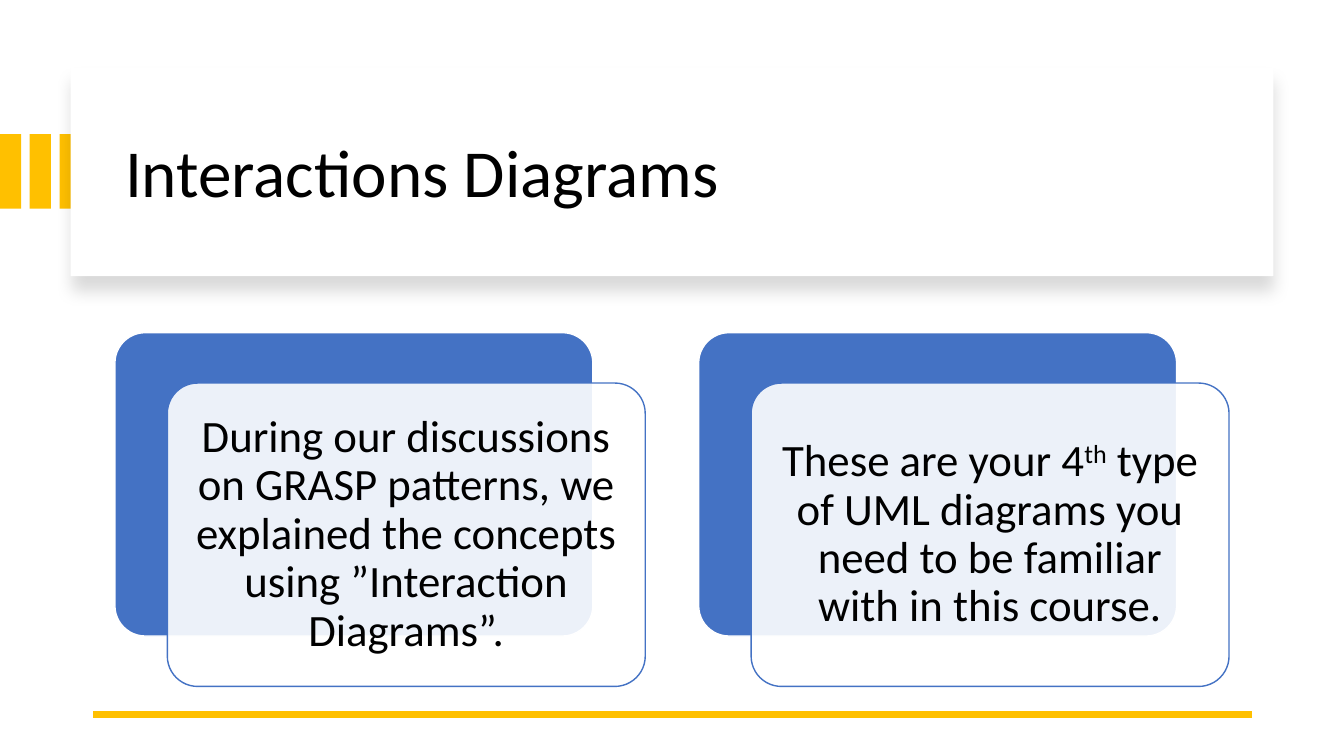
from dataclasses import dataclass

from lxml.etree import SubElement
from pptx import Presentation
from pptx.dml.color import RGBColor
from pptx.enum.shapes import MSO_CONNECTOR, MSO_SHAPE
from pptx.enum.text import MSO_ANCHOR, MSO_AUTO_SIZE, PP_ALIGN
from pptx.oxml import parse_xml
from pptx.oxml.ns import nsdecls, qn
from pptx.util import Inches, Pt


@dataclass(frozen=True)
class Theme:
    gold: RGBColor = RGBColor(0xFF, 0xC0, 0x00)
    blue: RGBColor = RGBColor(0x44, 0x72, 0xC4)
    white: RGBColor = RGBColor(0xFF, 0xFF, 0xFF)
    black: RGBColor = RGBColor(0x00, 0x00, 0x00)
    font: str = "Calibri"
    title_size: Pt = Pt(48)
    body_size: Pt = Pt(32)


theme = Theme()


def add_box(shapes, preset, left, top, width, height, fill, line=None):
    shape = shapes.add_shape(preset, Inches(left), Inches(top), Inches(width), Inches(height))
    shape.shadow.inherit = False
    shape.fill.solid()
    shape.fill.fore_color.rgb = fill
    if line is None:
        shape.line.fill.background()
    else:
        shape.line.color.rgb = line
        shape.line.width = Pt(1)
        shape.adjustments[0] = 0.1
    return shape


def add_run(paragraph, text, size):
    run = paragraph.add_run()
    run.text = text
    run.font.name = theme.font
    run.font.size = size
    run.font.color.rgb = theme.black
    return run


presentation = Presentation()
presentation.slide_width = Inches(13.33)
presentation.slide_height = Inches(7.5)
slide = presentation.slides.add_slide(presentation.slide_layouts[5])

stripes = slide.shapes.add_group_shape()
for index in range(3):
    add_box(stripes.shapes, MSO_SHAPE.RECTANGLE, index * 0.295, 1.33, 0.21, 0.74, theme.gold)

banner = add_box(slide.shapes, MSO_SHAPE.RECTANGLE, 0.7, 0.67, 11.93, 2.07, theme.white)
effects = banner.element.spPr.find(qn("a:effectLst"))
effects.append(parse_xml(
    f'<a:outerShdw {nsdecls("a")} blurRad="{Pt(11)}" dist="{Pt(10)}" dir="5400000" '
    'algn="t" rotWithShape="0"><a:srgbClr val="000000"><a:alpha val="15000"/>'
    '</a:srgbClr></a:outerShdw>'))

title = slide.shapes.title
title.left, title.top = Inches(1.14), Inches(0.89)
title.width, title.height = Inches(11.13), Inches(1.7)
title.text_frame.word_wrap = True
title.text_frame.auto_size = MSO_AUTO_SIZE.NONE
title.text_frame.vertical_anchor = MSO_ANCHOR.MIDDLE
title_paragraph = title.text_frame.paragraphs[0]
title_paragraph.alignment = PP_ALIGN.LEFT
title_paragraph.line_spacing = 0.9
add_run(title_paragraph, "Interactions Diagrams", theme.title_size)
banner.element.addnext(title.element)

rule = slide.shapes.add_connector(
    MSO_CONNECTOR.STRAIGHT, Inches(12.42), Inches(7.09), Inches(0.92), Inches(7.09))
rule.line.color.rgb = theme.gold
rule.line.width = Pt(4.5)
SubElement(rule.element.spPr, qn("a:effectLst"))

card_texts = [
    [("During our discussions on GRASP patterns, we explained the concepts "
      "using ”Interaction Diagrams”.", False)],
    [("These are your 4", False), ("th", True),
     (" type of UML diagrams you need to be familiar with in this course.", False)],
]
cards = slide.shapes.add_group_shape()
for index, runs in enumerate(card_texts):
    left = 1.14 + index * 5.79
    add_box(cards.shapes, MSO_SHAPE.ROUNDED_RECTANGLE,
            left, 3.3, 4.74, 3.01, theme.blue, theme.white)
    card = add_box(cards.shapes, MSO_SHAPE.ROUNDED_RECTANGLE,
                   left + 0.52, 3.8, 4.74, 3.01, theme.white, theme.blue)
    card_color = card.element.spPr.find(qn("a:solidFill")).find(qn("a:srgbClr"))
    SubElement(card_color, qn("a:alpha"), val="90000")
    frame = card.text_frame
    frame.word_wrap = True
    frame.vertical_anchor = MSO_ANCHOR.MIDDLE
    frame.margin_left = frame.margin_right = Inches(0.13)
    frame.margin_top = frame.margin_bottom = Inches(0.13)
    paragraph = frame.paragraphs[0]
    paragraph.alignment = PP_ALIGN.CENTER
    paragraph.line_spacing = 0.9
    for text, superscript in runs:
        run = add_run(paragraph, text, theme.body_size)
        if superscript:
            run.font._element.set("baseline", "30000")

presentation.save("out.pptx")
